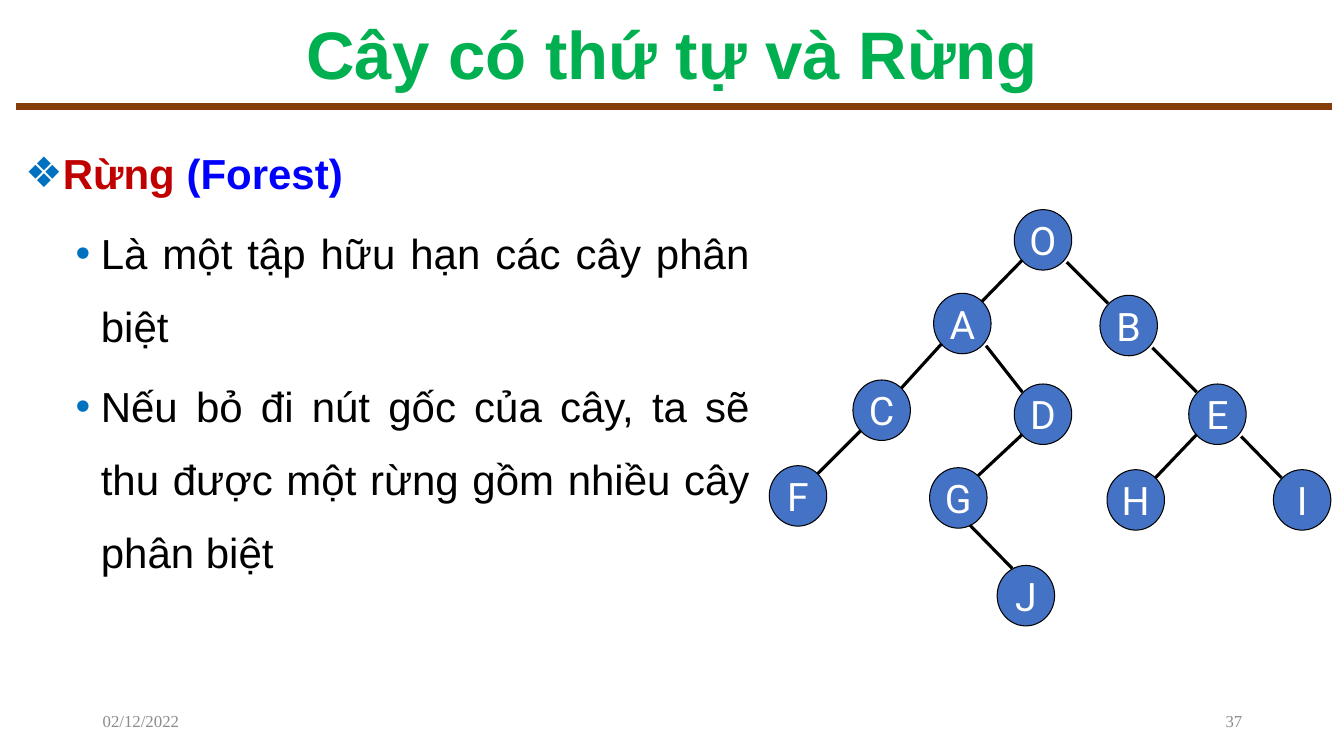
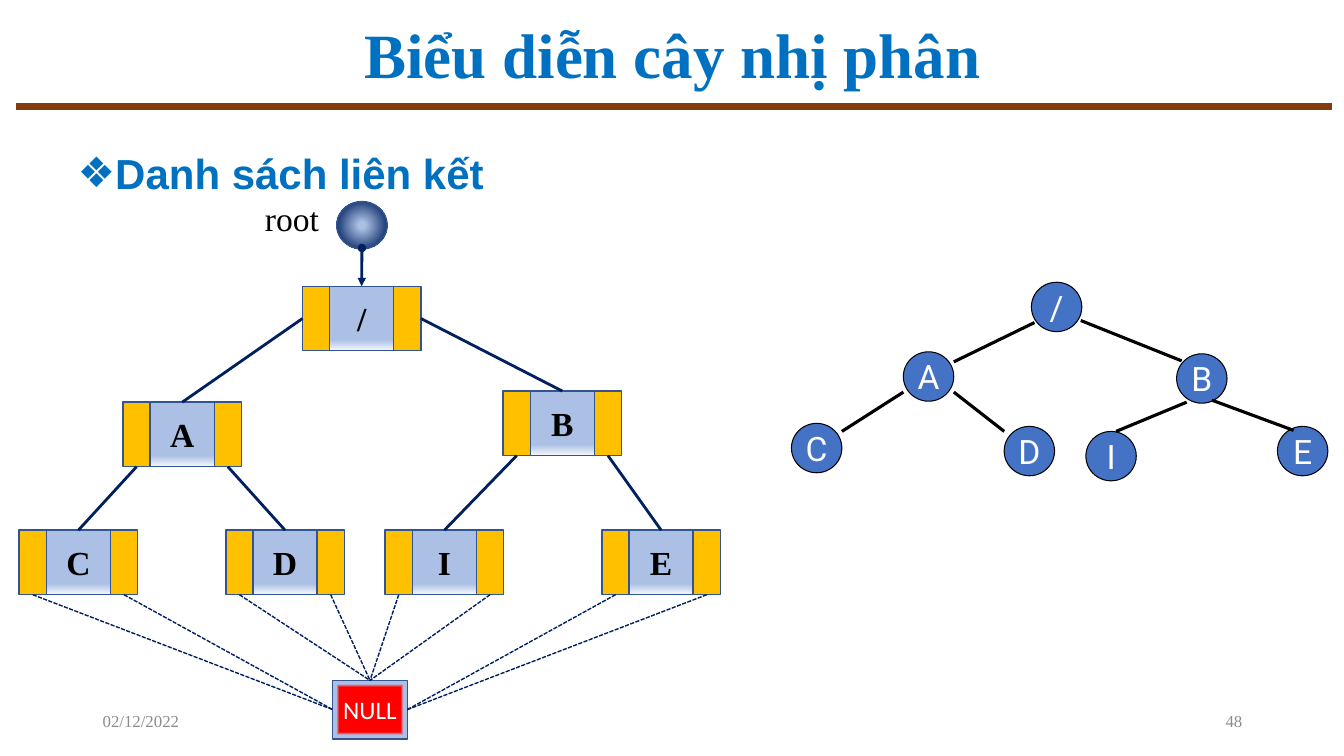
from dataclasses import dataclass
from typing import NamedTuple

from lxml import etree
from pptx import Presentation
from pptx.dml.color import RGBColor
from pptx.enum.dml import MSO_LINE
from pptx.enum.shapes import MSO_CONNECTOR, MSO_SHAPE
from pptx.enum.text import MSO_ANCHOR, MSO_AUTO_SIZE, PP_ALIGN
from pptx.oxml.ns import qn
from pptx.util import Inches, Pt

LEFT, MID, RIGHT, JUST = PP_ALIGN.LEFT, PP_ALIGN.CENTER, PP_ALIGN.RIGHT, PP_ALIGN.JUSTIFY
MIDDLE, NO_FIT = MSO_ANCHOR.MIDDLE, MSO_AUTO_SIZE.NONE
OVAL, RECT, LINE = MSO_SHAPE.OVAL, MSO_SHAPE.RECTANGLE, MSO_CONNECTOR.STRAIGHT
DASH = MSO_LINE.SQUARE_DOT
TOP_SIDE, LEFT_SIDE, BASE_SIDE, RIGHT_SIDE = range(4)

BLACK = RGBColor(0x00, 0x00, 0x00)
WHITE = RGBColor(0xFF, 0xFF, 0xFF)
BROWN = RGBColor(0x84, 0x3C, 0x0B)
GREEN = RGBColor(0x00, 0xB0, 0x50)
GRAY = RGBColor(0x8C, 0x8C, 0x8C)
CRIMSON = RGBColor(0xC0, 0x00, 0x00)
RED = RGBColor(0xFF, 0x00, 0x00)
BLUE = RGBColor(0x00, 0x00, 0xFF)
SKY = RGBColor(0x00, 0x70, 0xC0)
NODE = RGBColor(0x44, 0x72, 0xC4)
NAVY = RGBColor(0x00, 0x20, 0x60)
EDGE = RGBColor(0x32, 0x54, 0x91)
GOLD = RGBColor(0xFF, 0xC0, 0x00)
PALE = RGBColor(0xAB, 0xC0, 0xE4)
MIST = RGBColor(0xC7, 0xD5, 0xED)
FROST = RGBColor(0xF6, 0xF8, 0xFC)

SANS, SERIF, ROUND, PLAIN = "Arial", "Times New Roman", "Roboto", "Calibri"
CELL = Inches(0.1)
POCKET, CORE, TALL = 2.7, 6.35, 6.4


class Box(NamedTuple):
    col: float
    row: float
    wide: float
    high: float


class Spot(NamedTuple):
    col: float
    row: float


@dataclass(frozen=True)
class Shade:
    stops: tuple
    form: str = ""


@dataclass(frozen=True)
class Link:
    start: str
    end: str
    out: Spot
    into: Spot


@dataclass(frozen=True)
class Tree:
    nodes: dict
    links: list
    wide: float
    high: float
    size: int


@dataclass(frozen=True)
class Page:
    title: str
    color: RGBColor
    font: str
    size: int
    number: str
    body: Box


CORE_FILL = Shade(((74, PALE), (83, PALE), (100, FROST), (100, MIST)))
ROOT_FILL = Shade(((10, PALE), (85, NAVY), (100, PALE), (100, MIST)), "circle")
NULL_FILL = Shade(((77, RED), (87, PALE), (100, PALE), (100, MIST)), "shape")

L_OUT, L_IN = Spot(0.8, 5), Spot(4.8, 0.8)
R_OUT, R_IN = Spot(5.2, 5.2), Spot(0.8, 0.8)
FOREST = Tree(
    {"O": Spot(100.6, 20.8), "A": Spot(92.6, 29.1), "B": Spot(109.1, 29.3),
     "C": Spot(84.6, 37.7), "D": Spot(100.6, 38.1), "E": Spot(117.9, 38.1),
     "F": Spot(76.3, 46.2), "G": Spot(92.2, 46.4), "H": Spot(109.8, 46.6),
     "I": Spot(126.3, 46.6), "J": Spot(98.9, 56.1)},
    [Link(a, b, L_OUT, L_IN) for a, b in ("OA", "AC", "CF", "EH", "DG")]
    + [Link(a, b, R_OUT, R_IN) for a, b in ("OB", "BE", "EI", "AD")]
    + [Link("G", "J", Spot(4, 5.7), Spot(1.5, 0.3))],
    5.7, 6, 28)
BINARY = Tree(
    {"/": Spot(102.3, 28), "A": Spot(89.6, 34.9), "B": Spot(116.7, 35.1),
     "C": Spot(78.5, 42), "D": Spot(99.6, 42.3), "I": Spot(107.7, 42.8),
     "E": Spot(126.7, 42.3)},
    [Link("/", "A", Spot(0.3, 4), Spot(5, 1)),
     Link("A", "C", Spot(0, 4), Spot(5, 0.8)),
     Link("B", "I", Spot(1, 4.8), Spot(3, 0)),
     Link("/", "B", Spot(4.9, 3.8), Spot(0.5, 0.7)),
     Link("A", "D", Spot(5, 4), Spot(0, 0.5)),
     Link("B", "E", Spot(3.5, 4.6), Spot(1.6, 0.4))],
    5, 4.9, 24)
LEAF_ROW = 52.6
CHAIN = {"/": Spot(30, 28.4), "A": Spot(12.2, 39.9), "B": Spot(49.9, 38.8),
         "C": Spot(1.9, LEAF_ROW), "D": Spot(22.4, LEAF_ROW),
         "I": Spot(38.2, LEAF_ROW), "E": Spot(59.7, LEAF_ROW)}
KIDS = {"/": "AB", "A": "CD", "B": "IE"}
ENDS = {"C": LEFT_SIDE, "D": TOP_SIDE, "I": TOP_SIDE, "E": RIGHT_SIDE}


def units(values) -> list:
    return [round(v * CELL) for v in values]


def write(para, text: str, *, size: float, font: str, color: RGBColor,
          bold: bool = False, align=LEFT, space: float = 1, before: float = 0) -> None:
    para.alignment, para.line_spacing, para.space_before = align, space, Pt(before)
    run = para.add_run()
    run.text = text
    face = run.font
    face.size, face.name, face.bold = Pt(size), font, bold
    face.color.rgb = color


def label(slide, box: Box, text: str, wrap: bool = True, **form) -> None:
    frame = slide.shapes.add_textbox(*units(box)).text_frame
    frame.word_wrap = wrap
    frame.vertical_anchor = MIDDLE
    write(frame.paragraphs[0], text, **form)


def shade(shape, look: Shade) -> None:
    shape.fill.gradient()
    grad = shape._element.spPr.find(qn("a:gradFill"))
    for child in list(grad):
        grad.remove(child)
    stops = etree.SubElement(grad, qn("a:gsLst"))
    for pos, color in look.stops:
        stop = etree.SubElement(stops, qn("a:gs"), pos=str(pos * 1000))
        etree.SubElement(stop, qn("a:srgbClr"), val=str(color))
    if look.form:
        focus = etree.SubElement(grad, qn("a:path"), {"path": look.form})
        etree.SubElement(focus, qn("a:fillToRect"), dict.fromkeys("ltrb", "50000"))
    else:
        etree.SubElement(grad, qn("a:lin"), ang="5400000", scaled="0")


def block(slide, kind, box: Box, fill, line: RGBColor, width: float,
          text: str = "", **form):
    shape = slide.shapes.add_shape(kind, *units(box))
    shape.shadow.inherit = False
    if isinstance(fill, Shade):
        shade(shape, fill)
    else:
        shape.fill.solid()
        shape.fill.fore_color.rgb = fill
    shape.line.color.rgb = line
    shape.line.width = Pt(width)
    if text:
        frame = shape.text_frame
        frame.word_wrap = False
        frame.vertical_anchor = MIDDLE
        write(frame.paragraphs[0], text, align=MID, **form)
    return shape


def wire(slide, start: Spot, end: Spot, color: RGBColor, width: float):
    line = slide.shapes.add_connector(LINE, *units((*start, *end)))
    line.line.color.rgb = color
    line.line.width = Pt(width)
    etree.SubElement(line._element.spPr, qn("a:effectLst"))
    return line


def join(slide, start, side: int, end, port: int, width: float = 2):
    line = wire(slide, Spot(0, 0), Spot(1, 1), NAVY, width)
    line.begin_connect(start, side)
    line.end_connect(end, port)
    return line


def bullet(para, sign: str, level: int) -> None:
    para.level = level
    props = para._p.get_or_add_pPr()
    props.set("marL", str(Inches(0.25 + 0.5 * level)))
    props.set("indent", str(Inches(-0.25)))
    tint = etree.SubElement(props, qn("a:buClr"))
    etree.SubElement(tint, qn("a:srgbClr"), val=str(SKY))
    etree.SubElement(props, qn("a:buFont"), typeface=SANS)
    etree.SubElement(props, qn("a:buChar"), char=sign)


def place(holder, box: Box):
    holder.left, holder.top, holder.width, holder.height = units(box)
    holder.text_frame.auto_size = NO_FIT
    return holder.text_frame


def start(deck, page: Page):
    slide = deck.slides.add_slide(deck.slide_layouts[1])
    wire(slide, Spot(1.6, 10.6), Spot(132.1, 10.6), BROWN, 5)
    head = place(slide.shapes.title, Box(9.2, 1.7, 115, 8.1))
    head.vertical_anchor = MIDDLE
    write(head.paragraphs[0], page.title, size=page.size, font=page.font,
          color=page.color, bold=True, align=MID, space=0.9)
    for col, text, align in ((9.2, "02/12/2022", LEFT), (94.2, page.number, RIGHT)):
        label(slide, Box(col, 69.5, 30, 4), text, size=12, font=SERIF,
              color=GRAY, align=align)
    return slide, place(slide.placeholders[1], page.body)


def item(para, runs: list, level: int = 0, before: float = 0) -> None:
    bullet(para, "•" if level else "❖", level)
    for text, color in runs:
        write(para, text, size=30, font=SANS, color=color, bold=not level,
              align=JUST, space=1.45, before=before)


def grow(slide, tree: Tree) -> None:
    for name, spot in tree.nodes.items():
        block(slide, OVAL, Box(*spot, tree.wide, tree.high), NODE, BLACK, 0.75,
              name, size=tree.size, font=ROUND, color=WHITE)
    for link in tree.links:
        a, b = tree.nodes[link.start], tree.nodes[link.end]
        wire(slide, Spot(a.col + link.out.col, a.row + link.out.row),
             Spot(b.col + link.into.col, b.row + link.into.row), BLACK, 2.25)


def record(slide, name: str, spot: Spot) -> tuple:
    core = block(slide, RECT, Box(spot.col + POCKET, spot.row, CORE, TALL),
                 CORE_FILL, EDGE, 1, name, size=24, font=SERIF, color=BLACK, bold=True)
    left, right = (block(slide, RECT, Box(col, spot.row, POCKET, TALL), GOLD, EDGE, 1)
                   for col in (spot.col, spot.col + POCKET + CORE))
    return left, core, right


def forest(deck) -> None:
    slide, body = start(deck, Page("Cây có thứ tự và Rừng", GREEN, SANS, 48, "37",
                                   Box(1.5, 11.9, 73.9, 59.1)))
    item(body.paragraphs[0], [("Rừng", CRIMSON), (" (Forest)", BLUE)])
    for text in ("Là một tập hữu hạn các cây phân biệt",
                 "Nếu bỏ đi nút gốc của cây, ta sẽ thu được một rừng gồm nhiều cây phân biệt"):
        item(body.add_paragraph(), [(text, BLACK)], level=1, before=5)
    grow(slide, FOREST)


def binary(deck) -> None:
    slide, body = start(deck, Page("Biểu diễn cây nhị phân", SKY, SERIF, 45, "48",
                                   Box(6.7, 11.9, 117.5, 59.1)))
    item(body.paragraphs[0], [("Danh sách liên kết", SKY)])
    block(slide, OVAL, Box(33.4, 20, 5, 4.7), ROOT_FILL, EDGE, 1)
    label(slide, Box(25.3, 19.1, 7.4, 5), "root", wrap=False, size=24, font=SERIF,
          color=BLACK)
    grow(slide, BINARY)
    cells = {name: record(slide, name, spot) for name, spot in CHAIN.items()}
    arrow = wire(slide, Spot(35.9, 24.6), Spot(35.9, 28.4), NAVY, 2)
    arrow.end_connect(cells["/"][1], TOP_SIDE)
    tips = arrow.line._get_or_add_ln()
    etree.SubElement(tips, qn("a:headEnd"), type="oval")
    etree.SubElement(tips, qn("a:tailEnd"), type="triangle")
    for name, kids in KIDS.items():
        sides = (LEFT_SIDE, RIGHT_SIDE) if name == "/" else (BASE_SIDE, BASE_SIDE)
        for pocket, side, kid in zip(cells[name][::2], sides, kids):
            join(slide, pocket, side, cells[kid][1], TOP_SIDE)
    null = block(slide, RECT, Box(33, 67.5, 7.4, 5.8), NULL_FILL, EDGE, 1, "NULL",
                 size=18, font=PLAIN, color=WHITE)
    for name, port in ENDS.items():
        for pocket in cells[name][::2]:
            join(slide, pocket, BASE_SIDE, null, port, 1).line.dash_style = DASH


def main() -> None:
    deck = Presentation()
    deck.slide_width, deck.slide_height = Inches(13.33), Inches(7.5)
    forest(deck)
    binary(deck)
    deck.save("out.pptx")


if __name__ == "__main__":
    main()
